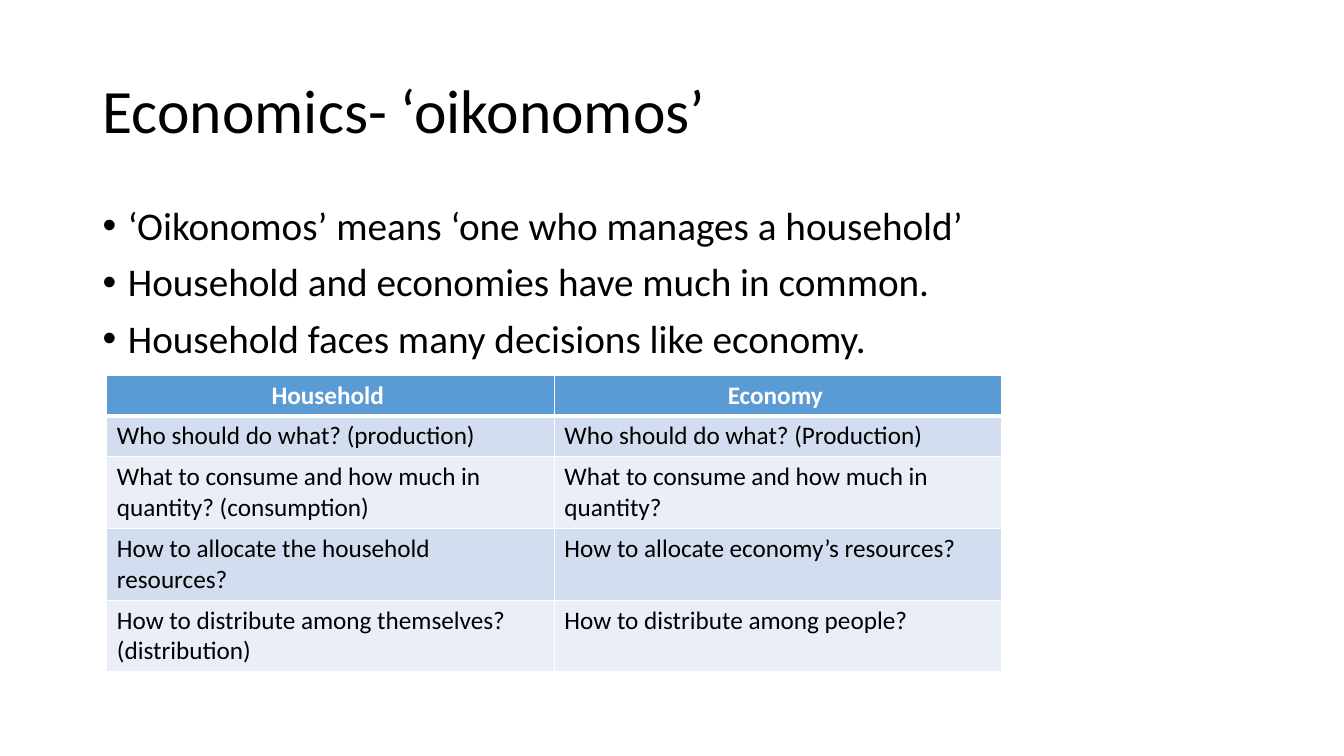
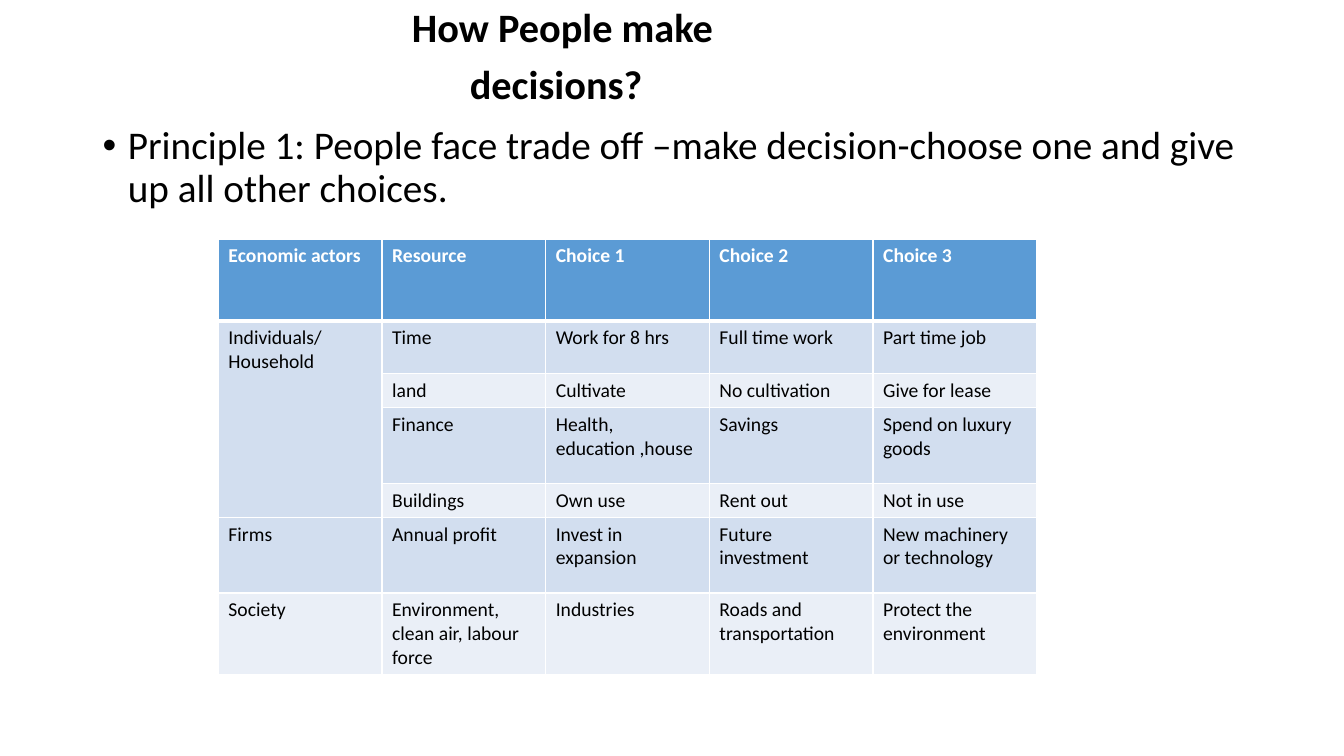
import pptx
import pptx.util
import pptx.dml.color
import pptx.enum.text
import pptx.oxml.ns
import lxml.etree

COLOURS = {"ink": "000000", "white": "FFFFFF", "header": "5B9BD5",
           "odd_row": "D2DEEF", "even_row": "EAEFF7"}
FONT = "Calibri"
Pt = pptx.util.Pt
Align = pptx.enum.text.PP_ALIGN
Anchor = pptx.enum.text.MSO_ANCHOR

deck = pptx.Presentation()
deck.slide_width = pptx.util.Inches(13.33)
deck.slide_height = pptx.util.Inches(7.5)

# The slide is a grid of 100 columns by 100 rows.
COLUMN = deck.slide_width / 100
ROW = deck.slide_height / 100
MARGIN, CONTENT_WIDTH = 6.9, 86.25

BODY_FONT = {"size": Pt(28), "bold": False}
BULLET_INDENT = pptx.util.Inches(0.25)

SLIDES = [
    {
        "title": [("Economics- ‘oikonomos’", {"size": Pt(44), "bold": False})],
        "title_at": (MARGIN, 5.33, CONTENT_WIDTH, 19.33),
        "title_align": Align.LEFT,
        "bullets": ["‘Oikonomos’ means ‘one who manages a household’",
                    "Household and economies have much in common.",
                    "Household faces many decisions like economy."],
        "bullets_at": (MARGIN, 26.67, CONTENT_WIDTH, 63.5),
        "table_at": (7.95, 49.6),
        "column_width": 33.3,
        "row_heights": [5.4, 5.4, 9.5, 9.5, 9.5],
        "table_size": 18,
        "header_align": Align.CENTER,
        "merged_rows": None,
        "cells": [
            ["Household ", "Economy "],
            ["Who should do what? (production)", "Who should do what? (Production)"],
            ["What to consume and how much in quantity? (consumption)",
             "What to consume and how much in quantity?"],
            ["How to allocate the household resources?",
             "How to allocate economy’s resources?"],
            ["How to distribute among themselves? (distribution)",
             "How to distribute among people?"],
        ],
    },
    {
        "title": [("How People make decisions?", {"size": Pt(28.8), "bold": True}),
                  (" ", {"size": Pt(39.6), "bold": False})],
        "title_at": (23.33, 5.33, 37.05, 5.07),
        "title_align": Align.CENTER,
        "bullets": ["Principle 1: People face trade off –make decision-choose one "
                    "and give up all other choices."],
        "bullets_at": (MARGIN, 16, CONTENT_WIDTH, 74.1),
        "table_at": (16.25, 31.65),
        "column_width": 12.18,
        "row_heights": [10.8, 7, 4.5, 10, 4.5, 10, 10.8],
        "table_size": 14,
        "header_align": Align.LEFT,
        "merged_rows": (1, 4),
        "cells": [
            ["Economic actors", "Resource", "Choice 1", "Choice 2", "Choice 3"],
            ["Individuals/Household", "Time", "Work for 8 hrs", "Full time work",
             "Part time job"],
            ["", "land", "Cultivate", "No cultivation", "Give for lease"],
            ["", "Finance", "Health,\neducation ,house", "Savings",
             "Spend on luxury goods"],
            ["", "Buildings", "Own use", "Rent out", "Not in use"],
            ["Firms", "Annual profit", "Invest in expansion", "Future investment",
             "New machinery or technology"],
            ["Society", "Environment,\nclean air, labour force", "Industries",
             "Roads and transportation", "Protect the environment"],
        ],
    },
]


def write(frame, paragraphs, layout, colour="ink"):
    """Fill a text frame; each paragraph is a list of (text, font values)."""
    frame.word_wrap = True
    for index, runs in enumerate(paragraphs):
        paragraph = frame.add_paragraph() if index else frame.paragraphs[0]
        for name, value in layout.items():
            if index or name != "space_before":
                setattr(paragraph, name, value)
        for text, font_values in runs:
            run = paragraph.add_run()
            run.text = text
            for name, value in {"name": FONT, **font_values}.items():
                setattr(run.font, name, value)
            run.font.color.rgb = pptx.dml.color.RGBColor.from_string(COLOURS[colour])


def add_border(cell, side, points):
    """Draw a white line on side L, R, T or B; call before filling the cell."""
    properties = cell._tc.get_or_add_tcPr()
    line = lxml.etree.SubElement(properties, pptx.oxml.ns.qn(f"a:ln{side}"), w=str(Pt(points)))
    fill = lxml.etree.SubElement(line, pptx.oxml.ns.qn("a:solidFill"))
    lxml.etree.SubElement(fill, pptx.oxml.ns.qn("a:srgbClr"), val=COLOURS["white"])


for content in SLIDES:
    slide = deck.slides.add_slide(deck.slide_layouts[6])

    frames = {}
    for part in ("title", "bullets"):
        left, top, width, height = content[f"{part}_at"]
        frames[part] = slide.shapes.add_textbox(
            int(left * COLUMN), int(top * ROW),
            int(width * COLUMN), int(height * ROW)).text_frame

    frames["title"].vertical_anchor = Anchor.MIDDLE
    write(frames["title"], [content["title"]],
          {"alignment": content["title_align"], "line_spacing": 0.9})

    write(frames["bullets"], [[(text, BODY_FONT)] for text in content["bullets"]],
          {"line_spacing": 0.9, "space_before": Pt(10)})
    for paragraph in frames["bullets"].paragraphs:
        properties = paragraph._p.get_or_add_pPr()
        properties.set("marL", str(BULLET_INDENT))
        properties.set("indent", str(-BULLET_INDENT))
        lxml.etree.SubElement(properties, pptx.oxml.ns.qn("a:buFont"), typeface="Arial")
        lxml.etree.SubElement(properties, pptx.oxml.ns.qn("a:buChar"), char="•")

    cells, heights = content["cells"], content["row_heights"]
    left, top = content["table_at"]
    table = slide.shapes.add_table(
        len(cells), len(cells[0]), int(left * COLUMN), int(top * ROW),
        int(content["column_width"] * len(cells[0]) * COLUMN),
        int(sum(heights) * ROW)).table
    for column in table.columns:
        column.width = int(content["column_width"] * COLUMN)

    for row, texts in enumerate(cells):
        table.rows[row].height = int(heights[row] * ROW)
        is_header = row == 0
        band = "header" if is_header else "odd_row" if row % 2 else "even_row"
        font_values = {"size": Pt(content["table_size"]), "bold": is_header}
        for column, text in enumerate(texts):
            cell = table.cell(row, column)
            for side in "LRTB":
                under_header = (row, side) in ((0, "B"), (1, "T"))
                add_border(cell, side, 3 if under_header else 1)
            cell.fill.solid()
            cell.fill.fore_color.rgb = pptx.dml.color.RGBColor.from_string(COLOURS[band])
            if text:
                write(cell.text_frame, [[(line, font_values)] for line in text.split("\n")],
                      {"alignment": content["header_align"] if is_header else Align.LEFT},
                      "white" if is_header else "ink")

    if content["merged_rows"]:
        first, last = content["merged_rows"]
        table.cell(first, 0).merge(table.cell(last, 0))

deck.save("out.pptx")
